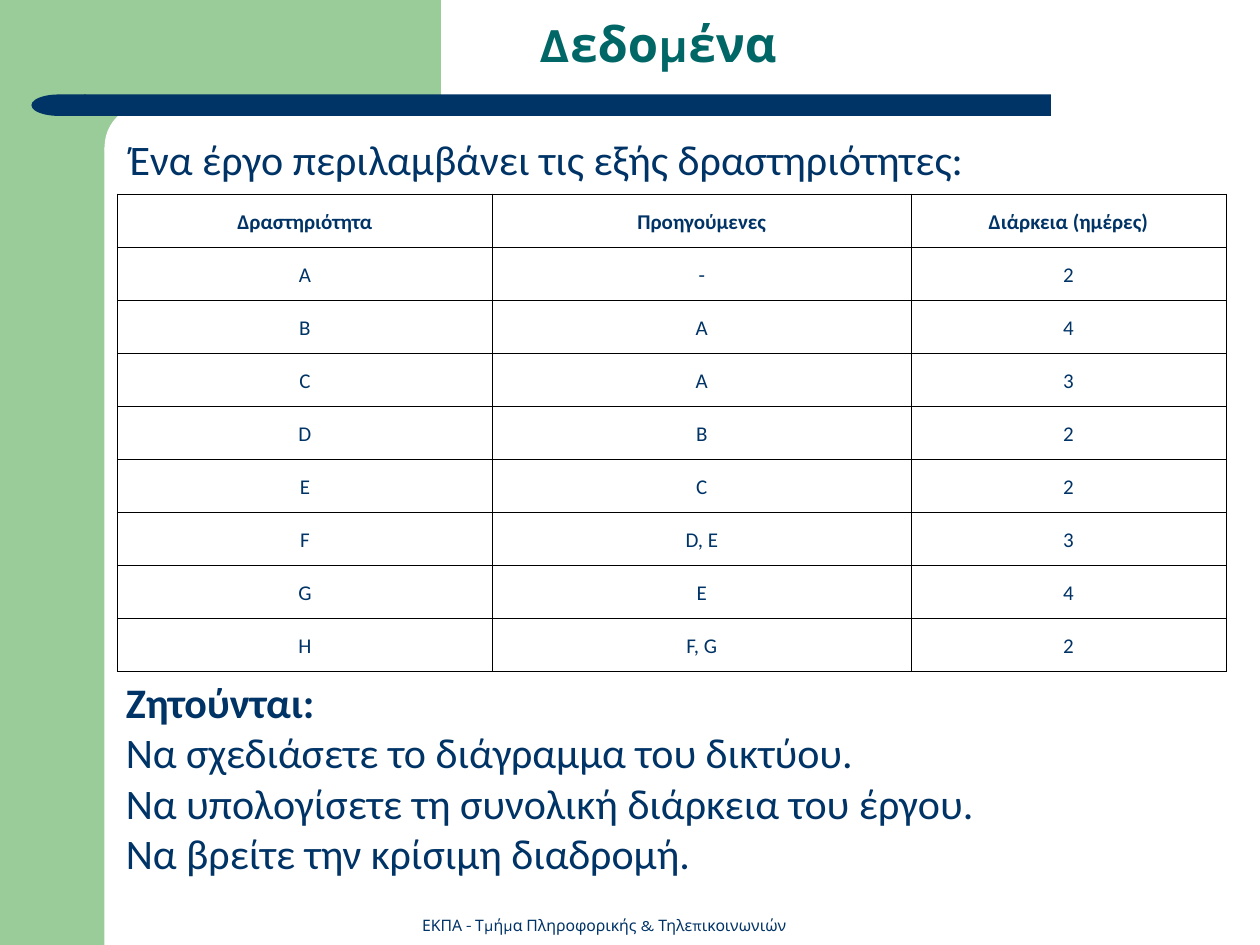
import pptx
import pptx.dml.color
import pptx.enum.shapes
import pptx.enum.text
import pptx.oxml
import pptx.oxml.ns
import pptx.util
from pptx.util import Inches

GREEN = "99CC99"
WHITE = "FFFFFF"
NAVY = "003366"
TEAL = "006666"
BLACK = "000000"

Shape = pptx.enum.shapes.MSO_SHAPE
Align = pptx.enum.text.PP_ALIGN
Anchor = pptx.enum.text.MSO_ANCHOR

ACTIVITIES = [
    ("Δραστηριότητα", "Προηγούμενες", "Διάρκεια (ημέρες)"),
    ("A", "-", "2"),
    ("B", "A", "4"),
    ("C", "A", "3"),
    ("D", "B", "2"),
    ("E", "C", "2"),
    ("F", "D, E", "3"),
    ("G", "E", "4"),
    ("H", "F, G", "2"),
]
COLUMN_WIDTHS = (2.98, 3.32, 2.5)
TASKS = [
    "Ζητούνται:",
    "Να σχεδιάσετε το διάγραμμα του δικτύου.",
    "Να υπολογίσετε τη συνολική διάρκεια του έργου.",
    "Να βρείτε την κρίσιμη διαδρομή.",
]


def color(hex_string):
    return pptx.dml.color.RGBColor.from_string(hex_string)


def add_block(shapes, kind, box, fill, corner=None):
    shape = shapes.add_shape(kind, *map(Inches, box))
    shape.shadow.inherit = False
    shape.fill.solid()
    shape.fill.fore_color.rgb = color(fill)
    shape.line.fill.background()
    if corner is not None:
        shape.adjustments[0] = corner
    return shape


def format_paragraph(paragraph, font, size, hex_string, bold=False, align=Align.LEFT):
    paragraph.alignment = align
    paragraph.font.name = font
    paragraph.font.size = pptx.util.Pt(size)
    paragraph.font.bold = bold
    paragraph.font.color.rgb = color(hex_string)


def space_out(paragraph):
    paragraph.line_spacing = 1.15
    paragraph.space_after = pptx.util.Pt(8)


def add_text(slide, box, lines, anchor=Anchor.TOP):
    frame = slide.shapes.add_textbox(*map(Inches, box)).text_frame
    frame.word_wrap = True
    frame.vertical_anchor = anchor
    frame.text = "\n".join(lines)
    return frame.paragraphs


def add_corner(slide, left, top, width, height):
    frame = slide.shapes.add_group_shape().shapes
    add_block(frame, Shape.RECTANGLE, (left, top, 0.83, height), GREEN)
    add_block(frame, Shape.RECTANGLE, (left + 0.75, top, width - 0.75, 1.17), GREEN)
    add_block(slide.shapes, Shape.ROUNDED_RECTANGLE,
              (left + 0.83, top + 0.83, 5.58, 0.67), WHITE, 0.5)


def add_title_bar(slide, left, top, width, height):
    bar = slide.shapes.add_group_shape().shapes
    add_block(bar, Shape.ROUNDED_RECTANGLE,
              (left + 0.42, top, width - 0.42, height), NAVY, 0)
    cap = add_block(bar, Shape.FLOWCHART_DELAY, (left, top, 0.43, height), NAVY)
    cap._element.spPr.xfrm.set("flipH", "1")


def place_title(slide, left, top, width, height):
    title = slide.shapes.title
    title.left, title.top = Inches(left), Inches(top)
    title.width, title.height = Inches(width), Inches(height)
    frame = title.text_frame
    frame.text = "Δεδομένα"
    frame.margin_left = Inches(0.2)
    frame.vertical_anchor = Anchor.MIDDLE
    format_paragraph(frame.paragraphs[0], "Karla", 28, TEAL, True, Align.CENTER)


def add_intro(slide, *box):
    paragraph, = add_text(slide, box, ["Ένα έργο περιλαμβάνει τις εξής δραστηριότητες:"])
    space_out(paragraph)
    format_paragraph(paragraph, "Calibri", 24, NAVY)


def add_borders(cell):
    properties = cell._tc.get_or_add_tcPr()
    for position, side in enumerate(("lnL", "lnR", "lnT", "lnB")):
        properties.insert(position, pptx.oxml.parse_xml(
            f'<a:{side} {pptx.oxml.ns.nsdecls("a")} w="{pptx.util.Pt(0.45)}">'
            f'<a:solidFill><a:srgbClr val="{BLACK}"/></a:solidFill></a:{side}>'))


def add_activity_table(slide, left, top, width, height):
    table = slide.shapes.add_table(
        len(ACTIVITIES), len(COLUMN_WIDTHS),
        *map(Inches, (left, top, width, height))).table
    table.horz_banding = False
    for column, column_width in zip(table.columns, COLUMN_WIDTHS):
        column.width = Inches(column_width)
    for row_index, values in enumerate(ACTIVITIES):
        for column_index, value in enumerate(values):
            cell = table.cell(row_index, column_index)
            cell.text = value
            cell.fill.background()
            cell.margin_left = cell.margin_right = Inches(0.01)
            cell.vertical_anchor = Anchor.MIDDLE
            paragraph = cell.text_frame.paragraphs[0]
            space_out(paragraph)
            format_paragraph(paragraph, "Calibri", 12, NAVY, row_index == 0, Align.CENTER)
            add_borders(cell)


def add_tasks(slide, *box):
    for index, paragraph in enumerate(add_text(slide, box, TASKS)):
        format_paragraph(paragraph, "Calibri", 24, NAVY, index == 0)


def add_footer(slide, *box):
    paragraph, = add_text(slide, box, ["ΕΚΠΑ - Τμήμα Πληροφορικής & Τηλεπικοινωνιών"],
                          Anchor.BOTTOM)
    format_paragraph(paragraph, "Karla", 9, NAVY, align=Align.CENTER)


def main():
    presentation = pptx.Presentation()
    presentation.slide_width = Inches(10)
    presentation.slide_height = Inches(7.5)
    slide = presentation.slides.add_slide(presentation.slide_layouts[5])
    add_corner(slide, 0, 0, 3.5, 7.5)
    add_title_bar(slide, 0.25, 0.75, 8.09, 0.17)
    place_title(slide, 0.35, 0, 9.65, 0.68)
    add_intro(slide, 0.93, 0.95, 7.38, 0.56)
    add_activity_table(slide, 0.93, 1.54, 8.8, 3.79)
    add_tasks(slide, 0.9, 5.32, 8.8, 1.7)
    add_footer(slide, 3.21, 7.22, 3.17, 0.25)
    presentation.save("out.pptx")


if __name__ == "__main__":
    main()
